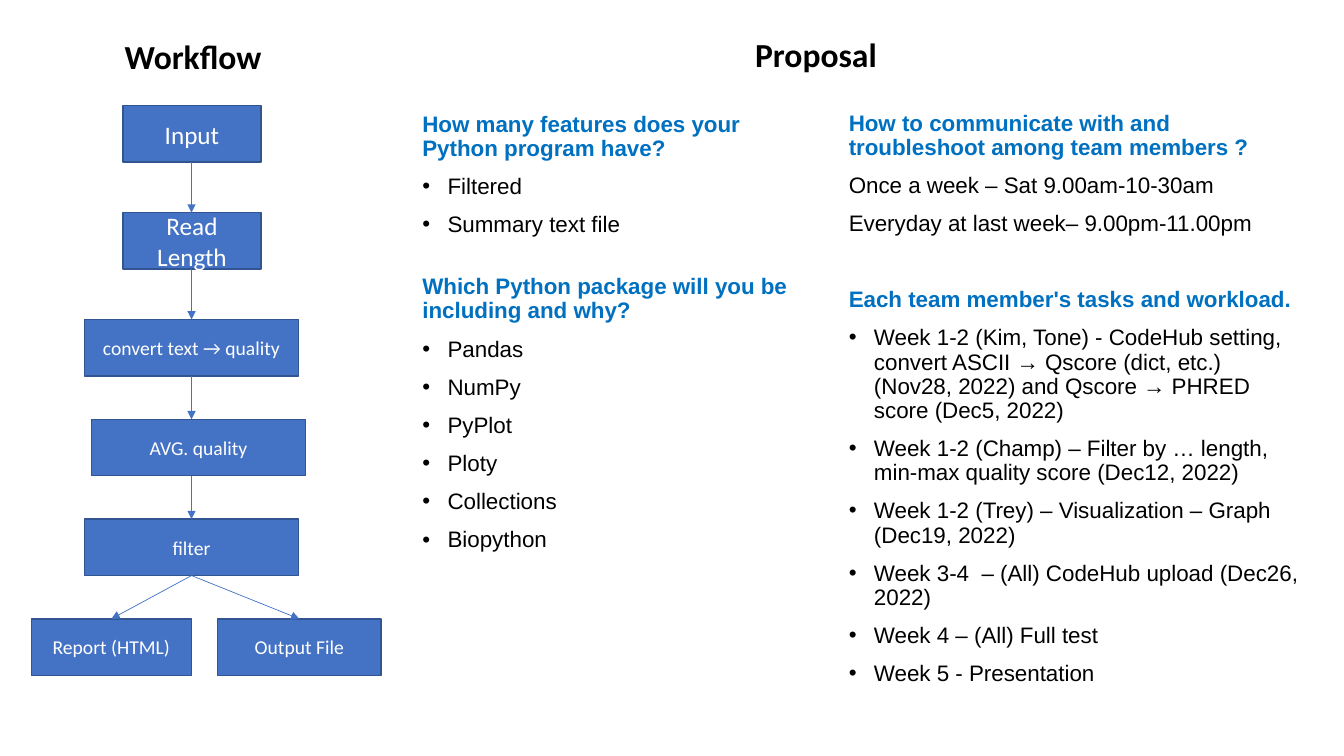
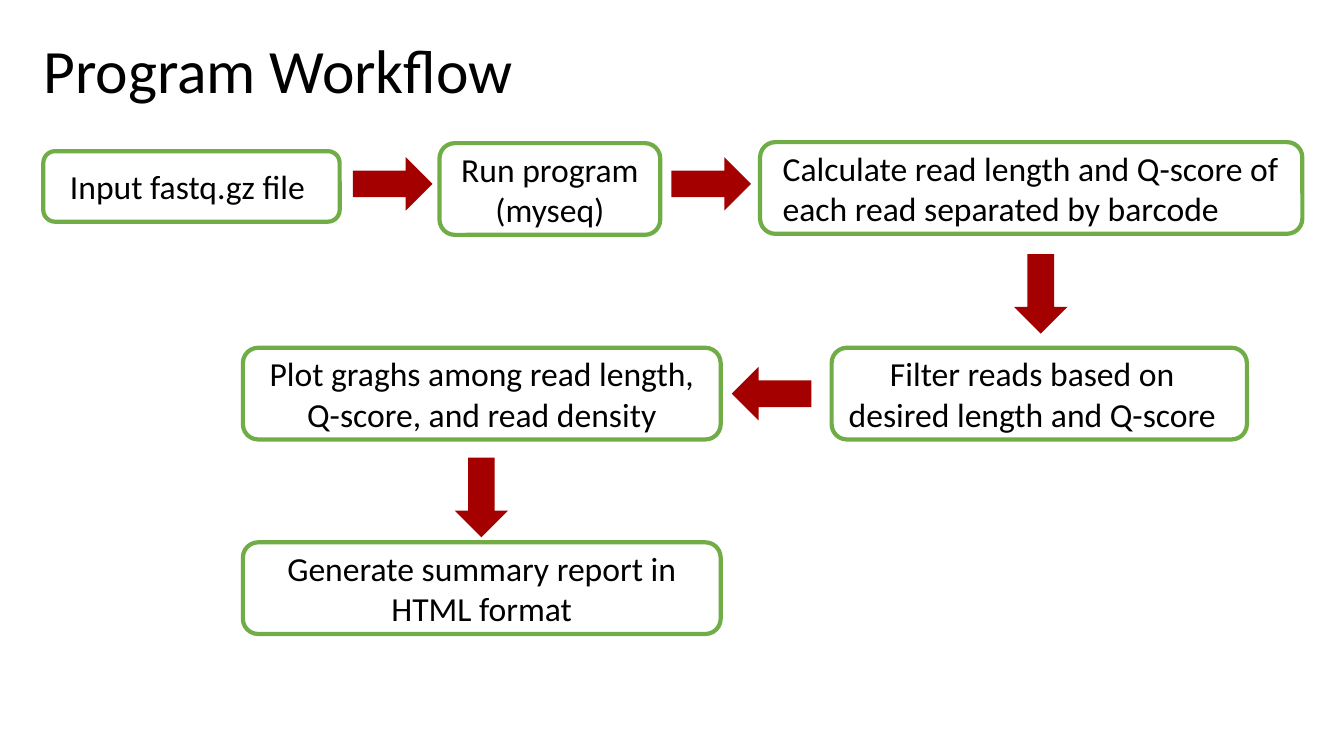
from dataclasses import dataclass

from lxml import etree
from pptx import Presentation
from pptx import util as u
from pptx.dml.color import RGBColor
from pptx.enum import shapes, text
from pptx.oxml import ns

# Shared style
BLACK = RGBColor(0x00, 0x00, 0x00)
WHITE = RGBColor(0xFF, 0xFF, 0xFF)
STEP_BLUE = RGBColor(0x44, 0x72, 0xC4)
STEP_EDGE = RGBColor(0x32, 0x54, 0x91)
QUESTION_BLUE = RGBColor(0x00, 0x70, 0xC0)
STAGE_GREEN = RGBColor(0x70, 0xAD, 0x47)
ARROW_RED = RGBColor(0xA4, 0x00, 0x00)
HEADING_FONT, LIST_FONT = "Calibri", "Arial"
LEFT, CENTER = text.PP_ALIGN.LEFT, text.PP_ALIGN.CENTER
SHAPE = shapes.MSO_SHAPE

# The grid has ten columns and ten rows to the inch
CELL = u.Inches(0.1)
SLIDE_COLS, SLIDE_ROWS = 133.33, 75


def cells(count):
    return u.Emu(round(count * CELL))


@dataclass
class Box:
    col: float
    row: float
    cols: float
    rows: float

    def inner(self, col, row, cols, rows):
        return Box(self.col + col, self.row + row, cols, rows)

    def frame(self):
        return [cells(n) for n in (self.col, self.row, self.cols, self.rows)]


def style(paragraph, size, color=BLACK, font=HEADING_FONT, bold=False, align=LEFT):
    paragraph.alignment = align
    for run in paragraph.runs:
        run.font.name, run.font.size = font, u.Pt(size)
        run.font.color.rgb, run.font.bold = color, bold


def write(frame, words, size, **look):
    frame.word_wrap = True
    frame.auto_size = text.MSO_AUTO_SIZE.NONE
    frame.vertical_anchor = text.MSO_ANCHOR.MIDDLE
    frame.text = words
    for paragraph in frame.paragraphs:
        style(paragraph, size, **look)


def place(placeholder, box):
    (placeholder.left, placeholder.top,
     placeholder.width, placeholder.height) = box.frame()


def set_title(slide, words, box, size, **look):
    place(slide.shapes.title, box)
    write(slide.shapes.title.text_frame, words, size, **look)
    for paragraph in slide.shapes.title.text_frame.paragraphs:
        paragraph.line_spacing = 0.9


def add_block(slide, kind, box, fill=None, edge=None, edge_width=1):
    block = slide.shapes.add_shape(kind, *box.frame())
    block.shadow.inherit = False
    if fill is None:
        block.fill.background()
    else:
        block.fill.solid()
        block.fill.fore_color.rgb = fill
    if edge is None:
        block.line.fill.background()
    else:
        block.line.color.rgb = edge
        block.line.width = u.Pt(edge_width)
    return block


def add_arrow_line(slide, box, start, end):
    points = [cells(n) for n in (box.col + start[0], box.row + start[1],
                                 box.col + end[0], box.row + end[1])]
    arrow = slide.shapes.add_connector(shapes.MSO_CONNECTOR.STRAIGHT, *points)
    arrow.line.color.rgb = STEP_BLUE
    arrow.line.width = u.Pt(0.5)
    outline = arrow._element.spPr.find(ns.qn("a:ln"))
    etree.SubElement(outline, ns.qn("a:tailEnd"), type="triangle")
    etree.SubElement(arrow._element.spPr, ns.qn("a:effectLst"))


# Proposal slide: flow of steps on the left
STEP_ROWS = 5.6
STEPS = [  # words, column, row, columns, text size
    ("Input", 9.1, 0, 13.7, 18),
    ("Read Length", 9.1, 10.6, 13.7, 18),
    ("convert text → quality", 5.3, 21.2, 21.2, 14),
    ("AVG. quality", 6, 31.1, 21.2, 14),
    ("filter", 5.3, 41, 21.2, 14),
    ("Report (HTML)", 0, 50.9, 15.9, 14),
    ("Output File", 18.5, 50.9, 16.2, 14),
]


def step_flow(slide, box):
    for words, col, row, cols, size in STEPS:
        step = add_block(slide, SHAPE.RECTANGLE, box.inner(col, row, cols, STEP_ROWS),
                         STEP_BLUE, STEP_EDGE)
        write(step.text_frame, words, size, color=WHITE, align=CENTER)

    # Straight arrows down the chain, then a fork to both results
    axis = 15.9
    chain, results = STEPS[:5], STEPS[5:]
    for upper, lower in zip(chain, chain[1:]):
        add_arrow_line(slide, box, (axis, upper[2] + STEP_ROWS), (axis, lower[2]))
    for _, col, row, cols, _ in results:
        add_arrow_line(slide, box, (axis, chain[-1][2] + STEP_ROWS),
                       (col + cols / 2, row))


# Proposal slide: question columns
QUESTION, PLAIN, BULLET = range(3)
FEATURES = [  # kind, points before, lines
    (QUESTION, 10, ["How many features does your Python program have?"]),
    (BULLET, 10, ["Filtered", "Summary text file"]),
    (QUESTION, 27, ["Which Python package will you be including and why?"]),
    (BULLET, 10, ["Pandas", "NumPy", "PyPlot", "Ploty", "Collections", "Biopython"]),
]
TEAMWORK = [
    (QUESTION, 10, ["How to communicate with and troubleshoot among team members ?"]),
    (PLAIN, 10, ["Once a week – Sat 9.00am-10-30am",
                 "Everyday at last week– 9.00pm-11.00pm"]),
    (QUESTION, 37, ["Each team member's tasks and workload."]),
    (BULLET, 10, [
        "Week 1-2 (Kim, Tone) - CodeHub setting, convert ASCII → Qscore (dict, etc.) "
        "(Nov28, 2022) and Qscore → PHRED score (Dec5, 2022)",
        "Week 1-2 (Champ) – Filter by … length, min-max quality score (Dec12, 2022)",
        "Week 1-2 (Trey) – Visualization – Graph (Dec19, 2022)",
        "Week 3-4  – (All) CodeHub upload (Dec26, 2022)",
        "Week 4 – (All) Full test",
        "Week 5 - Presentation",
    ]),
]


def set_bullet(paragraph, shown):
    props = paragraph._p.get_or_add_pPr()
    indent = u.Inches(0.25) if shown else 0
    props.set("marL", str(indent))
    props.set("indent", str(-indent))
    if shown:
        etree.SubElement(props, ns.qn("a:buFont"), typeface=LIST_FONT)
        etree.SubElement(props, ns.qn("a:buChar"), char="•")
    else:
        etree.SubElement(props, ns.qn("a:buNone"))


def question_column(placeholder, box, sections):
    place(placeholder, box)
    frame = placeholder.text_frame
    lines = [(kind, before, line) for kind, before, group in sections for line in group]
    write(frame, "\n".join(line for _, _, line in lines), 16, font=LIST_FONT)
    frame.vertical_anchor = text.MSO_ANCHOR.TOP
    for paragraph, (kind, before, _) in zip(frame.paragraphs, lines):
        if kind == QUESTION:
            style(paragraph, 16, QUESTION_BLUE, LIST_FONT, bold=True)
        paragraph.line_spacing = 0.9
        paragraph.space_before = u.Pt(before)
        set_bullet(paragraph, kind == BULLET)


def proposal_slide(deck):
    slide = deck.slides.add_slide(deck.slide_layouts.get_by_name("Two Content"))
    heading = dict(size=24, bold=True, align=CENTER)
    set_title(slide, "Proposal", Box(65.5, 3.1, 30.9, 5), **heading)
    workflow = slide.shapes.add_textbox(*Box(3.7, 3.1, 30.9, 5).frame())
    write(workflow.text_frame, "Workflow", **heading)
    step_flow(slide, Box(3.1, 10.5, 34.7, 56.5))
    question_column(slide.placeholders[1], Box(40.9, 10.7, 41.5, 53.8), FEATURES)
    question_column(slide.placeholders[2], Box(83.2, 10.6, 47, 53.8), TEAMWORK)


# Program slide: outlined stages joined by block arrows
STAGES = [  # words, column, row, columns, rows, alignment, side insets
    ("Input fastq.gz file", 0, 0.9, 29.4, 7, CENTER, (0.6, 1.4)),
    ("Run program (myseq)", 39.3, 0.1, 21.9, 9.1, CENTER, (1, 1)),
    ("Calculate read length and Q-score of each read separated by barcode",
     71.1, 0, 53.8, 9.1, LEFT, (1.8, 0.2)),
    ("Filter reads based on\ndesired length and Q-score",
     78.2, 20.4, 41.2, 9.1, CENTER, (0.4, 1.8)),
    ("Plot graghs among read length, Q-score, and read density",
     19.8, 20.4, 47.4, 9.1, CENTER, (1, 1)),
    ("Generate summary report in HTML format",
     19.8, 39.7, 47.4, 9.1, CENTER, (1, 1)),
]
ARROWS = [  # column, row, rotation
    (30.7, 1.5, 0), (62.3, 1.5, 0), (95, 12.4, 90), (68.3, 22.3, 180), (39.5, 32.6, 90),
]


def stage_flow(slide, box):
    for words, col, row, cols, rows, align, (inset_left, inset_right) in STAGES:
        stage = add_block(slide, SHAPE.ROUNDED_RECTANGLE, box.inner(col, row, cols, rows),
                          edge=STAGE_GREEN, edge_width=3)
        stage.text_frame.margin_left = cells(inset_left)
        stage.text_frame.margin_right = cells(inset_right)
        write(stage.text_frame, words, 24, align=align)
    for col, row, rotation in ARROWS:
        arrow = add_block(slide, SHAPE.RIGHT_ARROW, box.inner(col, row, 7.9, 5.3), ARROW_RED)
        arrow.rotation = rotation


def program_slide(deck):
    slide = deck.slides.add_slide(deck.slide_layouts.get_by_name("Title Only"))
    set_title(slide, "Program Workflow", Box(3.3, 2.2, 50.6, 10.2), 44)
    stage_flow(slide, Box(4.3, 14.1, 124.9, 48.8))


def main():
    deck = Presentation()
    deck.slide_width, deck.slide_height = cells(SLIDE_COLS), cells(SLIDE_ROWS)
    proposal_slide(deck)
    program_slide(deck)
    deck.save("out.pptx")


if __name__ == "__main__":
    main()
